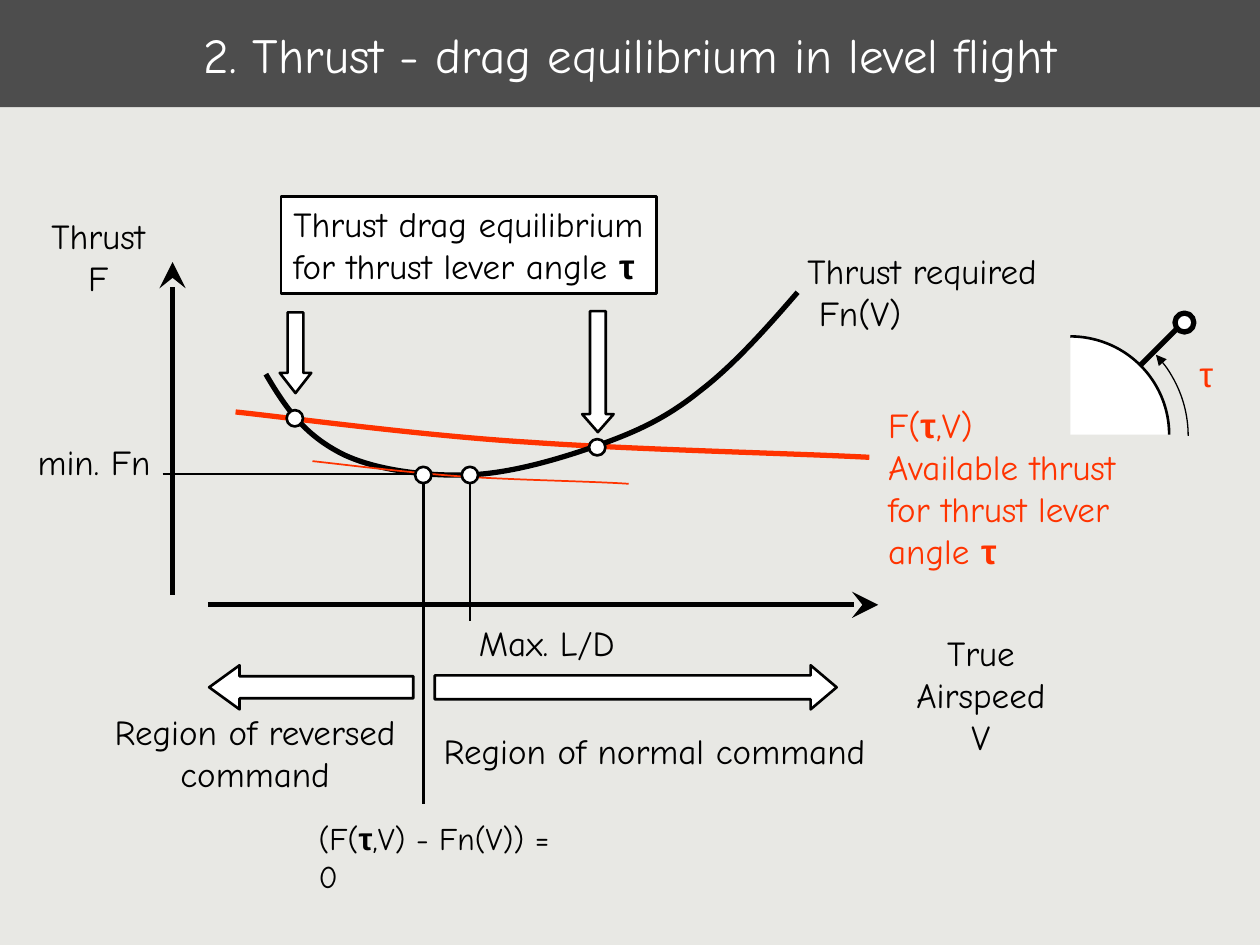
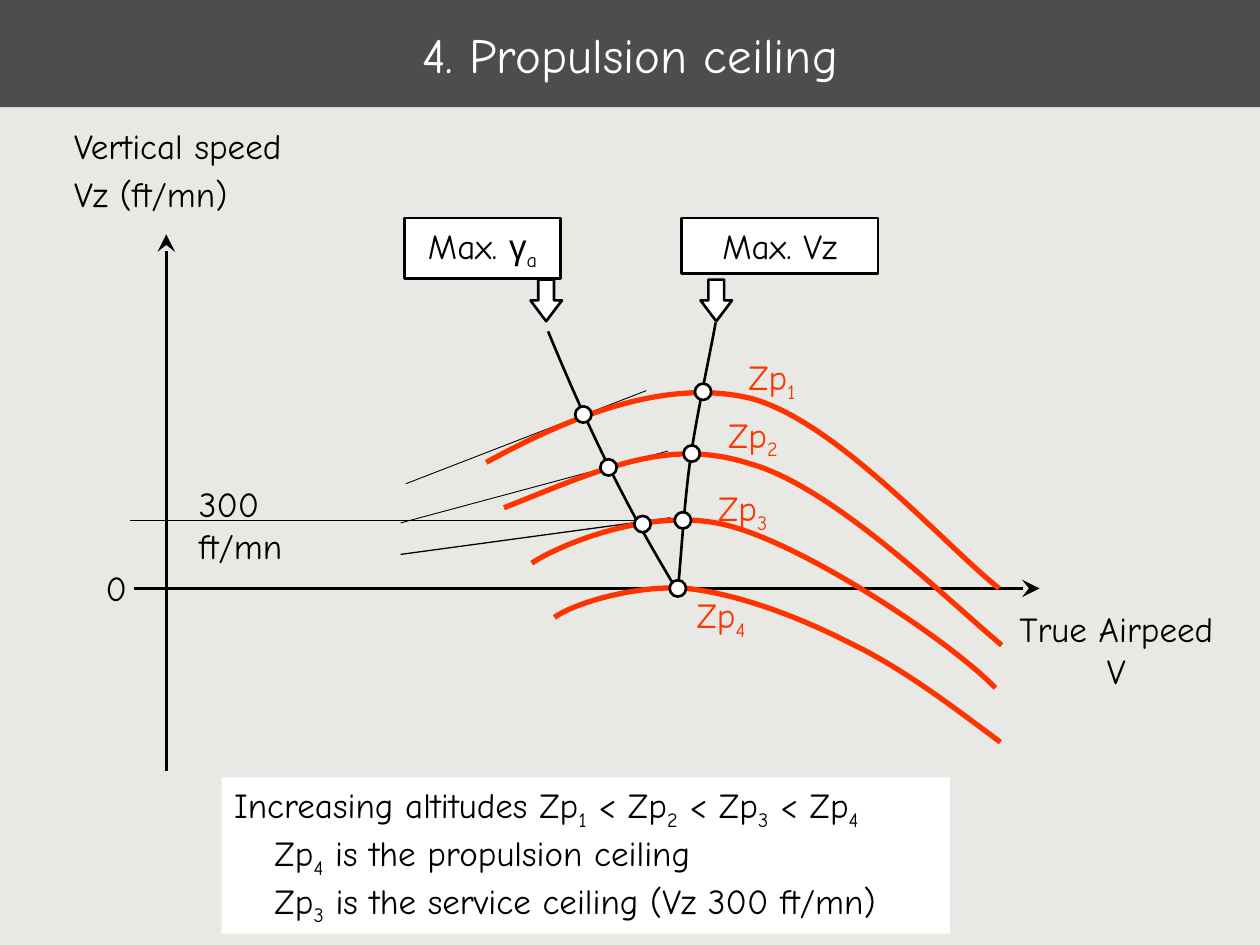
from dataclasses import dataclass
from itertools import groupby

from lxml.etree import SubElement
from pptx import Presentation
from pptx.dml.color import RGBColor
from pptx.enum.shapes import MSO_CONNECTOR, MSO_SHAPE
from pptx.enum.text import MSO_ANCHOR, MSO_AUTO_SIZE, PP_ALIGN
from pptx.oxml.ns import qn
from pptx.util import Cm, Pt

BACKDROP, BAND, INK, PAPER, RED = "E8E8E4", "4D4D4D", "000000", "FFFFFF", "FF3300"
FONT, GREEK_FONT = "Comic Neue", "Arial"
DOT = 0.13


@dataclass
class Label:
    place: tuple
    lines: list
    flow: str = "center"
    color: str = INK
    size: int = 20
    fill: str = ""
    border: float = 0
    is_title: bool = False
    indents: tuple = ()
    bold_greek: bool = True
    line_spacing: float = 1
    gap: float = 0


THRUST = {
    "title": "2. Thrust - drag equilibrium in level flight",
    "lines": [
        ((1.65, 4.8), (6.97, 4.8), 3, "stealth"),
        ((1.37, 4.72), (1.37, 2.08), 3, "stealth"),
        ((1.29, 3.76), (3.66, 3.76), 1, ""),
        ((3.73, 3.8), (3.73, 4.93), 1.5, ""),
        ((3.36, 3.76), (3.36, 6.38), 1.5, ""),
        ((8.58, 3.37), (9.34, 2.61), 3, ""),
    ],
    "curves": [
        ([(1.87, 3.27), (2.26, 3.31), (3.36, 3.46), (4.2, 3.51),
          (5.04, 3.57), (6.34, 3.6), (6.9, 3.63)], RED, 3),
        ([(2.11, 2.97), (2.29, 3.28), (2.44, 3.46), (2.71, 3.6),
          (2.97, 3.73), (3.37, 3.78), (3.71, 3.77),
          (4.05, 3.76), (4.45, 3.64), (4.76, 3.53),
          (5.07, 3.42), (5.3, 3.31), (5.56, 3.1),
          (5.82, 2.9), (6.08, 2.61), (6.33, 2.32)], INK, 3),
        ([(2.48, 3.66), (2.67, 3.68), (3.22, 3.75), (3.64, 3.78),
          (4.06, 3.81), (4.71, 3.82), (4.99, 3.84)], RED, 1),
    ],
    "dots": [(3.73, 3.77), (4.74, 3.55), (2.34, 3.32), (3.36, 3.77)],
    "arrows": [
        (MSO_SHAPE.DOWN_ARROW, (2.22, 2.48, 0.25, 0.64), (0.5, 0.64)),
        (MSO_SHAPE.DOWN_ARROW, (4.62, 2.47, 0.25, 0.96), (0.5, 0.57)),
        (MSO_SHAPE.RIGHT_ARROW, (3.45, 5.28, 3.19, 0.35), (0.54, 0.59)),
        (MSO_SHAPE.LEFT_ARROW, (1.66, 5.28, 1.62, 0.35), (0.5, 0.69)),
    ],
    "labels": [
        Label((2.23, 1.56, 2.98, 0.77),
              ["Thrust drag equilibrium", "for thrust lever angle τ"],
              "tight", fill=PAPER, border=1.5),
        Label((6.95, 3.15, 2.51, 1.44),
              ["F(τ,V)", "Available thrust", "for thrust lever", "angle τ"], "wrap", RED),
        Label((9.42, 2.75, 0.32, 0.44), ["τ"], "tight", RED, bold_greek=False),
        Label((0.31, 1.65, 0.94, 0.76), ["Thrust", "F"]),
        Label((6.86, 4.96, 1.85, 0.76), ["True Airspeed", "V"]),
        Label((6.31, 1.93, 2.03, 0.77), ["Thrust required", "Fn(V)"], "tight",
              indents=(0, 0.09)),
        Label((3.7, 4.88, 1.28, 0.43), ["Max. L/D"]),
        Label((0.2, 3.45, 1.1, 0.43), ["min. Fn"], "tight"),
        Label((3.37, 5.74, 3.65, 0.43), ["Region of normal command"]),
        Label((0.8, 5.59, 2.45, 0.76), ["Region of reversed", "command"]),
        Label((2.43, 6.45, 2.15, 0.7), ["(F(τ,V) - Fn(V)) = 0"], "wrap", size=18),
    ],
}
LEVER_SWEEP = (7.55, 2.52, 1.88, 1.88)
LEVER_SWEEP_START = 316.7
LEVER_SECTOR = (7.71, 2.67, 1.57, 1.56)
LEVER_KNOB = (9.4, 2.56)

ZP_PLACES = [(5.84, 2.77), (5.68, 3.23), (5.6, 3.81), (5.43, 4.66)]

CEILING = {
    "title": "4. Propulsion ceiling",
    "lines": [
        ((1.06, 4.67), (8.25, 4.67), 2, "stealth"),
        ((1.32, 6.12), (1.32, 1.86), 2, "stealth"),
        ((3.22, 3.84), (5.13, 3.1), 0.5, ""),
        ((3.18, 4.15), (5.3, 3.58), 0.5, ""),
        ((3.18, 4.4), (5.32, 4.11), 0.75, ""),
        ((1.03, 4.13), (5.43, 4.13), 0.75, ""),
    ],
    "curves": [
        ([(4.4, 4.9), (4.57, 4.78), (5.06, 4.64), (5.45, 4.67),
          (5.84, 4.71), (6.33, 4.89), (6.74, 5.1),
          (7.16, 5.3), (7.55, 5.6), (7.94, 5.89)], RED, 3),
        ([(4.22, 4.47), (4.43, 4.33), (5.19, 4), (5.81, 4.18),
          (6.42, 4.35), (7.53, 5.08), (7.9, 5.46)], RED, 3),
        ([(4, 4.03), (4.78, 3.72), (5.3, 3.47), (5.95, 3.68),
          (6.61, 3.86), (7.54, 4.78), (7.95, 5.12)], RED, 3),
        ([(3.86, 3.67), (4.52, 3.31), (5.27, 3), (5.95, 3.16),
          (6.63, 3.33), (7.52, 4.35), (7.93, 4.67)], RED, 3),
        ([(5.38, 4.68), (5.4, 4.51), (5.43, 3.99), (5.48, 3.64),
          (5.53, 3.29), (5.64, 2.79), (5.68, 2.56)], INK, 1.5),
        ([(4.35, 2.63), (4.51, 3.02), (4.68, 3.4), (4.85, 3.74),
          (5.02, 4.08), (5.19, 4.38), (5.37, 4.68)], INK, 1.5),
    ],
    "dots": [(5.1, 4.16), (4.63, 3.29), (4.83, 3.71), (5.38, 4.67),
             (5.49, 3.6), (5.58, 3.11), (5.42, 4.13)],
    "arrows": [
        (MSO_SHAPE.DOWN_ARROW, (left, 2.22, 0.25, 0.33), (0.5, 0.66)) for left in (4.21, 5.56)
    ],
    "labels": [
        Label((3.21, 1.73, 1.24, 0.48), ["Max. γ_a"], "wrap center", fill=PAPER, border=1.5,
              bold_greek=False),
        Label((5.41, 1.73, 1.56, 0.44), ["Max. Vz"], "wrap center", fill=PAPER, border=1.5),
        Label((7.99, 4.77, 1.74, 0.76), ["True Airpeed", "V"]),
        Label((0.49, 1.06, 2.17, 0.68), ["Vertical speed", "Vz (ft/mn)"], "wrap",
              line_spacing=0.6, gap=12.5),
        Label((0.74, 4.45, 0.37, 0.44), ["0"], "tight"),
        Label((1.48, 3.78, 1.43, 0.44), ["300 ft/mn"], "tight"),
        Label((1.76, 6.17, 5.78, 1.24),
              ["Increasing altitudes Zp_1 < Zp_2 < Zp_3 < Zp_4",
               "Zp_4 is the propulsion ceiling",
               "Zp_3 is the service ceiling (Vz 300 ft/mn)"],
              "wrap", fill=PAPER, indents=(0, 0.32, 0.32)),
    ] + [
        Label((*place, 0.72, 0.48), [f"Zp_{number}"], "wrap", RED)
        for number, place in enumerate(ZP_PLACES, 1)
    ],
}


def rgb(color):
    return RGBColor.from_string(color)


def inches(*values):
    return [Cm(value * 2.54) for value in values]


def paint(shape, fill="", color=INK, weight=0):
    shape.shadow.inherit = False
    if fill:
        shape.fill.solid()
        shape.fill.fore_color.rgb = rgb(fill)
    else:
        shape.fill.background()
    if weight:
        stroke(shape, color, weight)
    else:
        shape.line.fill.background()


def stroke(shape, color, weight):
    shape.line.color.rgb = rgb(color)
    shape.line.width = Pt(weight)


def add_arrowhead(shape, end, kind, size):
    outline = shape.element.spPr.find(qn("a:ln"))
    SubElement(outline, qn(f"a:{end}"), type=kind, w=size, len=size)


def add_line(slide, start, end, weight, tail):
    line = slide.shapes.add_connector(MSO_CONNECTOR.STRAIGHT, *inches(*start, *end))
    stroke(line, INK, weight)
    if tail:
        add_arrowhead(line, "tailEnd", tail, "lg")
    SubElement(line.element.spPr, qn("a:effectLst"))


def add_curve(slide, knots, color, weight):
    start, *rest = [inches(*knot) for knot in knots]
    builder = slide.shapes.build_freeform(*start)
    builder.add_line_segments(rest, close=False)
    curve = builder.convert_to_shape()
    outline = next(curve.element.iter(qn("a:path")))
    segments = outline.findall(qn("a:lnTo"))
    for first in range(0, len(segments), 3):
        bezier = SubElement(outline, qn("a:cubicBezTo"))
        for segment in segments[first:first + 3]:
            bezier.append(segment[0])
            outline.remove(segment)
    paint(curve, "", color, weight)


def add_dot(slide, center, size=DOT, weight=1.5):
    x, y = center
    dot = slide.shapes.add_shape(
        MSO_SHAPE.OVAL, *inches(x - size / 2, y - size / 2, size, size))
    paint(dot, PAPER, INK, weight)


def add_block_arrow(slide, kind, place, proportions):
    arrow = slide.shapes.add_shape(kind, *inches(*place))
    for index, proportion in enumerate(proportions):
        arrow.adjustments[index] = proportion
    paint(arrow, PAPER, INK, 1.5)


def styled_pieces(text):
    marked, style = [], ""
    for letter in text:
        if letter == "_":
            style = "sub"
            continue
        marked.append((style or ("greek" if letter in "τγ" else "plain"), letter))
        style = ""
    for style, pairs in groupby(marked, key=lambda pair: pair[0]):
        yield style, "".join(letter for _, letter in pairs)


def add_label(slide, label):
    place = inches(*label.place)
    if label.fill:
        box = slide.shapes.add_shape(MSO_SHAPE.RECTANGLE, *place)
        paint(box, label.fill, INK, label.border)
    else:
        box = slide.shapes.add_textbox(*place)
    frame = box.text_frame
    frame.word_wrap = label.is_title or "wrap" in label.flow
    frame.auto_size = MSO_AUTO_SIZE.NONE if label.is_title else MSO_AUTO_SIZE.SHAPE_TO_FIT_TEXT
    frame.vertical_anchor = MSO_ANCHOR.MIDDLE if label.is_title else MSO_ANCHOR.TOP
    for index, text in enumerate(label.lines):
        paragraph = frame.add_paragraph() if index else frame.paragraphs[0]
        paragraph.alignment = PP_ALIGN.CENTER if "center" in label.flow else PP_ALIGN.LEFT
        if label.line_spacing != 1:
            paragraph.line_spacing = label.line_spacing
        if index and label.gap:
            paragraph.space_before = Pt(label.gap)
        if label.indents:
            indent, = inches(label.indents[index])
            paragraph._p.get_or_add_pPr().set("marL", str(indent))
        for style, piece in styled_pieces(text):
            run = paragraph.add_run()
            run.text = piece
            run.font.size = Pt(label.size)
            run.font.color.rgb = rgb(label.color)
            run.font.name = GREEK_FONT if style == "greek" else FONT
            run.font.bold = style == "greek" and label.bold_greek
            if style == "sub":
                run.font._element.set("baseline", "-25000")


def add_diagram(deck, content):
    slide = deck.slides.add_slide(deck.slide_layouts[6])
    slide.background.fill.solid()
    slide.background.fill.fore_color.rgb = rgb(BACKDROP)
    add_label(slide, Label((0, 0, 10, 0.85), [content["title"]], color=PAPER, size=28,
                           fill=BAND, is_title=True))
    for line in content["lines"]:
        add_line(slide, *line)
    for curve in content["curves"]:
        add_curve(slide, *curve)
    for center in content["dots"]:
        add_dot(slide, center)
    for arrow in content["arrows"]:
        add_block_arrow(slide, *arrow)
    for label in content["labels"]:
        add_label(slide, label)
    return slide


def add_thrust_lever(slide):
    sweep = slide.shapes.add_shape(MSO_SHAPE.ARC, *inches(*LEVER_SWEEP))
    sweep.adjustments[0] = LEVER_SWEEP_START * 0.6
    paint(sweep, "", INK, 0.75)
    add_arrowhead(sweep, "headEnd", "triangle", "med")
    sector = slide.shapes.add_shape(MSO_SHAPE.ARC, *inches(*LEVER_SECTOR))
    paint(sector, PAPER, INK, 1.5)
    add_dot(slide, LEVER_KNOB, 0.15, 3)


def main():
    deck = Presentation()
    deck.slide_width, deck.slide_height = inches(10, 7.5)
    add_thrust_lever(add_diagram(deck, THRUST))
    add_diagram(deck, CEILING)
    deck.save("out.pptx")


if __name__ == "__main__":
    main()
